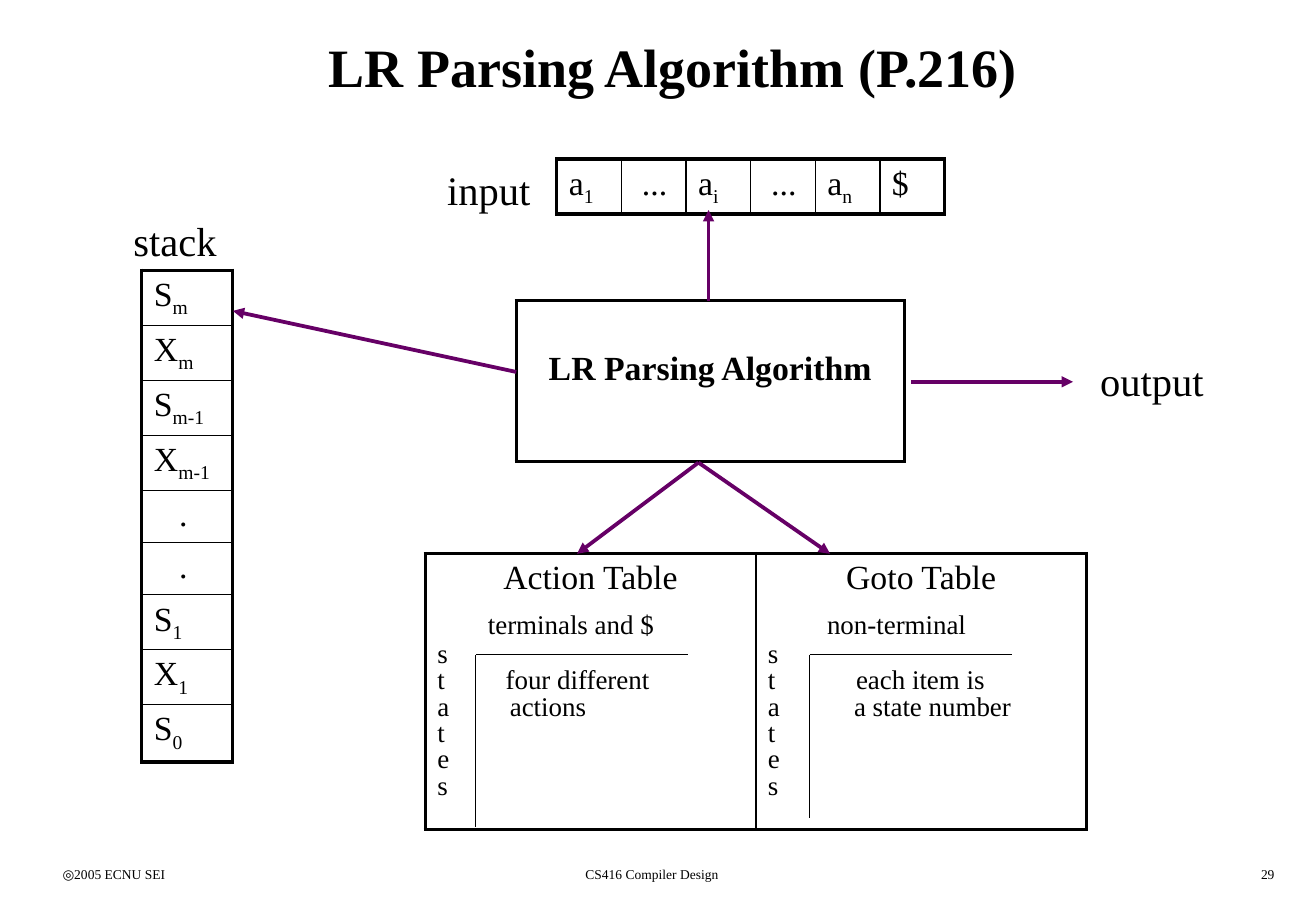
from lxml import etree
from pptx import Presentation
from pptx.dml.color import RGBColor
from pptx.enum.shapes import MSO_CONNECTOR
from pptx.enum.text import MSO_ANCHOR, PP_ALIGN
from pptx.oxml.ns import qn
from pptx.util import Pt

LINE = MSO_CONNECTOR.STRAIGHT
MID = MSO_ANCHOR.MIDDLE
LEFT, CENTER, RIGHT = PP_ALIGN.LEFT, PP_ALIGN.CENTER, PP_ALIGN.RIGHT
FACE = "Times New Roman"
HUES = {"ink": "000000", "arrow": "660066"}
THICK, THIN, FINE = 2.25, 1, 0.75

TITLE = "LR Parsing Algorithm (P.216)"
CORE = "LR Parsing Algorithm"
STACK = [("S", "m"), ("X", "m"), ("S", "m-1"), ("X", "m-1"), (".", ""),
         (".", ""), ("S", "1"), ("X", "1"), ("S", "0")]
INPUT = [("a", "1"), ("...", ""), ("a", "i"), ("...", ""), ("a", "n"), ("$", "")]
SHIFT = {".": 15, "...": 5}
SIDE = "states"
GRIDS = [
    {"head": "Action Table", "top": "terminals and $", "indent": 30,
     "notes": {1: ("four different", 40.5), 2: ("actions", 43)}},
    {"head": "Goto Table", "top": "non-terminal", "indent": 35,
     "notes": {1: ("each item is", 52.2), 2: ("a state number", 51)}},
]
LABELS = [
    ("stack", 72, 124.5, 64, 36, 24, LEFT),
    ("input", 258, 94.5, 64, 36, 24, LEFT),
    ("output", 645, 207.5, 75.6, 36, 24, LEFT),
    ("◎2005 ECNU SEI", 30, 510, 163, 18, 8, LEFT),
    ("CS416 Compiler Design", 240.5, 510, 292, 18, 8, CENTER),
    ("29", 600, 510, 162.5, 18, 8, RIGHT),
]
AXES = [(282, 126, 102), (480, 120, 96.5)]
AXIS_Y = 388.2
FORK = (414, 274.2)
ARROWS = [
    ((306, 220.5), (138, 184.3)),
    (FORK, (342, 328.3)),
    (FORK, (492, 328.3)),
    ((420, 178.5), (420, 124.5)),
    ((540, 226.3), (636, 226.3)),
]


def tint(name):
    return RGBColor.from_string(HUES[name])


def style(para, size, align=LEFT, bold=False):
    para.alignment = align
    font = para.font
    font.name, font.size, font.bold = FACE, Pt(size), bold
    font.color.rgb = tint("ink")


def edge(cell, sides):
    props = cell._tc.get_or_add_tcPr()
    for side, width in zip("LRTB", sides):
        line = etree.SubElement(props, qn("a:ln" + side), w=str(Pt(width)))
        fill = etree.SubElement(line, qn("a:solidFill"))
        etree.SubElement(fill, qn("a:srgbClr"), val=HUES["ink"])
    cell.fill.background()


def add_grid(left, top, widths, heights):
    rows, cols = len(heights), len(widths)
    frame = slide.shapes.add_table(rows, cols, Pt(left), Pt(top),
                                   Pt(sum(widths)), Pt(sum(heights)))
    table = frame.table
    table.first_row = table.horz_banding = False
    for col, width in zip(table.columns, widths):
        col.width = Pt(width)
    for row, height in zip(table.rows, heights):
        row.height = Pt(height)
    for r in range(rows):
        for c in range(cols):
            outer = (c == 0, c == cols - 1, r == 0, r == rows - 1)
            edge(table.cell(r, c), [THICK if out else THIN for out in outer])
    return table


def put_sign(cell, sign):
    base, sub = sign
    cell.margin_left = Pt(7.2 + SHIFT.get(base, 0))
    para = cell.text_frame.paragraphs[0]
    para.add_run().text = base
    if sub:
        run = para.add_run()
        run.text = sub
        run._r.get_or_add_rPr().set("baseline", "-25000")
    style(para, 20)


def put_grid(cell, grid):
    frame = cell.text_frame
    head = frame.paragraphs[0]
    head.text = grid["head"]
    style(head, 20, CENTER)
    top = frame.add_paragraph()
    top.text = grid["top"]
    top.space_before = Pt(8)
    top._p.get_or_add_pPr().set("marL", str(Pt(grid["indent"])))
    style(top, 16)
    for i, mark in enumerate(SIDE):
        para = frame.add_paragraph()
        para.text = mark
        para.line_spacing = 0.7
        para.space_before = Pt(3.2 if i else 3.6)
        if i in grid["notes"]:
            note, stop = grid["notes"][i]
            para.text = mark + "\t" + note
            tabs = etree.SubElement(para._p.get_or_add_pPr(), qn("a:tabLst"))
            etree.SubElement(tabs, qn("a:tab"), pos=str(Pt(stop)), algn="l")
        style(para, 16)


def add_line(start, end, hue, width, head=False):
    line = slide.shapes.add_connector(LINE, *map(Pt, start + end))
    line.line.color.rgb = tint(hue)
    line.line.width = Pt(width)
    if head:
        etree.SubElement(line.line._get_or_add_ln(), qn("a:tailEnd"), type="triangle")
    etree.SubElement(line._element.spPr, qn("a:effectLst"))


deck = Presentation()
deck.slide_width, deck.slide_height = Pt(780), Pt(540)
slide = deck.slides.add_slide(deck.slide_layouts[5])

title = slide.shapes.title
title.left, title.top, title.width, title.height = map(Pt, (30, 12, 738, 54))
title.text_frame.text = TITLE
title.text_frame.vertical_anchor = MID
style(title.text_frame.paragraphs[0], 32, CENTER, True)

stack = add_grid(84, 160.2, [54], [31] * 8 + [34])
for r, sign in enumerate(STACK):
    put_sign(stack.cell(r, 0), sign)

tape = add_grid(330, 94.2, [38.3] * 6, [31])
for c, sign in enumerate(INPUT):
    put_sign(tape.cell(0, c), sign)

pair = add_grid(252, 328.1, [196] * 2, [163.5])
for c, grid in enumerate(GRIDS):
    put_grid(pair.cell(0, c), grid)

for x, wide, tall in AXES:
    add_line((x, AXIS_Y), (x + wide, AXIS_Y), "ink", FINE)
    add_line((x, AXIS_Y), (x, AXIS_Y + tall), "ink", FINE)

core = add_grid(306, 178.2, [230], [95.3]).cell(0, 0)
core.text_frame.text = CORE
core.margin_top = Pt(29.5)
style(core.text_frame.paragraphs[0], 20, CENTER, True)

for start, end in ARROWS:
    add_line(start, end, "arrow", THICK, True)

for text, x, y, wide, tall, size, align in LABELS:
    label = slide.shapes.add_textbox(Pt(x), Pt(y), Pt(wide), Pt(tall))
    label.text_frame.text = text
    label.text_frame.word_wrap = size == 8
    style(label.text_frame.paragraphs[0], size, align)

deck.save("out.pptx")
